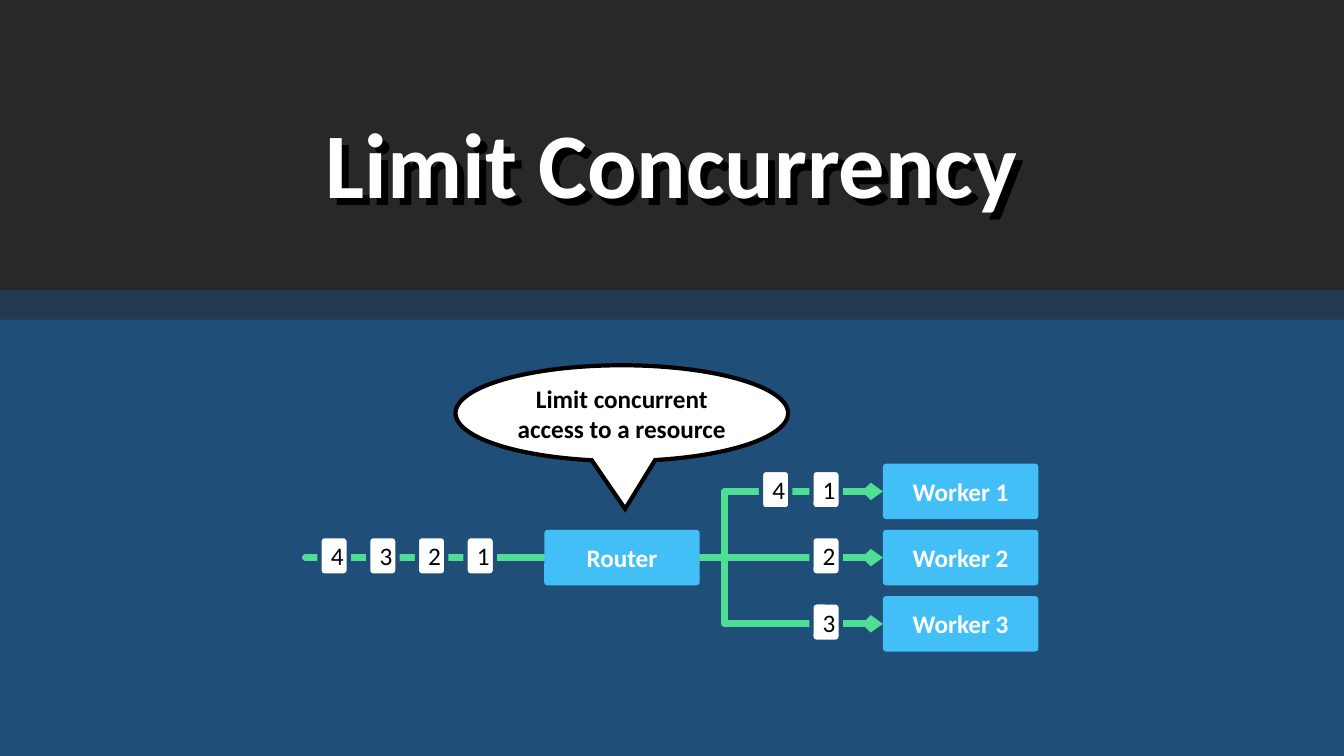
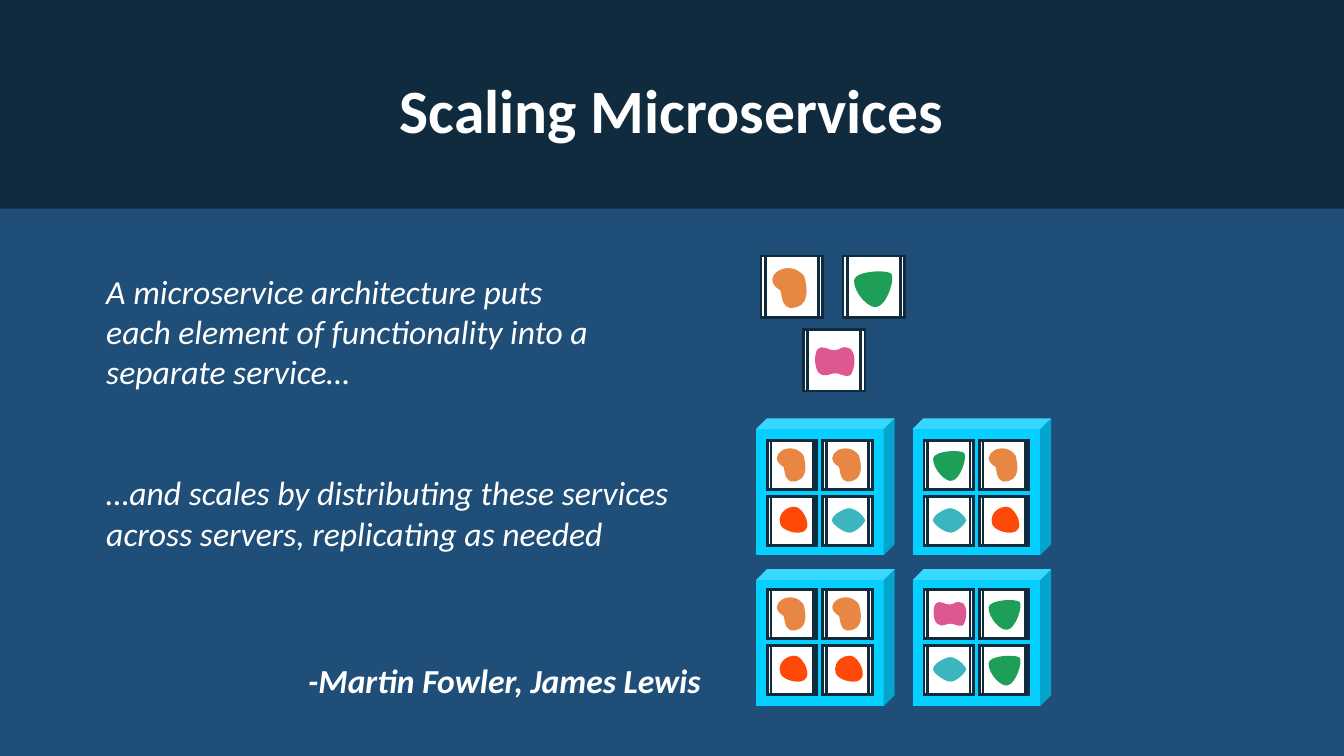
from itertools import product

from lxml import etree
from pptx import Presentation
from pptx import util as u
from pptx.dml.color import RGBColor
from pptx.enum import shapes, text
from pptx.oxml.ns import qn

Pt = u.Pt
SHAPE = shapes.MSO_SHAPE
ALIGN = text.PP_ALIGN

PAGE_W, PAGE_H = 960, 540
FONT = "Calibri"
COLORS = {
    "page": "1F4E78", "charcoal": "282828", "stripe": "233B50", "navy": "102B3E",
    "white": "FFFFFF", "black": "000000", "lane": "50DE94", "box": "43BFF7",
    "server": "05CFFF", "orange": "E88744", "green": "1D9F58", "pink": "DD5893",
    "red": "FF4909", "teal": "3DB5BE",
}

# Start point, then two control points and an end point for each curve,
# measured from the corner of a small service tile.
BLOBS = {
    "orange": [(10.8, 18.5), (-1.4, 10.6), (17, -1), (25.7, 10.6),
               (27.4, 16.4), (30, 29.4), (17.3, 29.4),
               (10.8, 27.9), (13, 18.5), (10.8, 18.5)],
    "red": [(10.8, 11.5), (12.2, 9.4), (18, 5.8), (22.3, 8.6),
            (27.4, 12.2), (30.2, 20.9), (27.4, 23.8),
            (25.2, 27.4), (16.6, 26.6), (11.5, 23),
            (7.2, 20.2), (8.6, 13.7), (10.8, 11.5)],
    "teal": [(6.5, 17.3), (6.5, 13), (15.8, 8.6), (18.7, 8.6),
             (22.3, 8.6), (28.8, 13), (30.2, 17.3),
             (29.5, 20.2), (21.6, 27.4), (18, 25.9),
             (15.1, 25.9), (6.5, 20.2), (6.5, 17.3)],
    "green": [(28.8, 9), (31, 12.6), (25.9, 27.7), (20.2, 28.8),
              (15.8, 30.2), (6.5, 20.9), (6.5, 13),
              (7.2, 7.2), (25.9, 6.5), (28.8, 9)],
    "pink": [(18.7, 24.5), (15.8, 24.5), (13, 27.4), (9.4, 24.5),
             (7.2, 23), (5.8, 15.8), (7.9, 10.8),
             (11.5, 6.5), (15.1, 11.5), (18.7, 10.8),
             (22.3, 10.8), (22.3, 7.2), (28.1, 10.1),
             (32.4, 14.4), (29.5, 25.2), (27.4, 25.9),
             (23, 26.6), (22.3, 24.5), (18.7, 24.5)],
}
SMALL_TILE, LARGE_TILE = 35.3, 43.9


def color(name):
    return RGBColor.from_string(COLORS[name])


def add_page(deck):
    page = deck.slides.add_slide(deck.slide_layouts[6])
    page.background.fill.solid()
    page.background.fill.fore_color.rgb = color("page")
    return page


def paint(shape, fill, line=None, width=0):
    shape.shadow.inherit = False
    shape.fill.solid()
    shape.fill.fore_color.rgb = color(fill)
    if line:
        shape.line.color.rgb = color(line)
        shape.line.width = Pt(width)
        etree.SubElement(shape.line._get_or_add_ln(), qn("a:miter"), lim="800000")
    else:
        shape.line.fill.background()


def add_block(page, kind, left, top, width, height, fill, line=None, line_width=0):
    shape = page.shapes.add_shape(kind, Pt(left), Pt(top), Pt(width), Pt(height))
    paint(shape, fill, line, line_width)
    return shape


def write(shape, content, size, ink="white", bold=False, italic=False, align=ALIGN.CENTER):
    """Fill a shape with text, one paragraph per line of the content."""
    shape.text_frame.text = content
    for para in shape.text_frame.paragraphs:
        para.alignment = align
        for span in para.runs:
            span.font.name = FONT
            span.font.size = Pt(size)
            span.font.bold = bold
            span.font.italic = italic
            span.font.color.rgb = color(ink)


def add_label(page, left, top, width, height, content, size, wrap=False, **style):
    box = page.shapes.add_textbox(Pt(left), Pt(top), Pt(width), Pt(height))
    write(box, content, size, **style)
    box.text_frame.word_wrap = wrap
    return box


def add_title(page, left, top, width, height, content, size):
    return add_label(page, left, top, width, height, content, size, wrap=True, bold=True)


def add_text_shadow(box):
    effects = etree.SubElement(box.element.spPr, qn("a:effectLst"))
    shadow = etree.SubElement(effects, qn("a:outerShdw"), dist=str(Pt(7)), dir="2700000",
                              algn="tl", rotWithShape="0")
    etree.SubElement(shadow, qn("a:srgbClr"), val=COLORS["black"])


def add_lane(page, x1, y1, x2, y2, arrow=True):
    """Draw a green line, bent near its start when its ends differ in height."""
    kind = shapes.MSO_CONNECTOR.STRAIGHT if y1 == y2 else shapes.MSO_CONNECTOR.ELBOW
    lane = page.shapes.add_connector(kind, Pt(x1), Pt(y1), Pt(x2), Pt(y2))
    lane.line.color.rgb = color("lane")
    lane.line.width = Pt(5)
    properties = lane.element.spPr
    if y1 != y2:
        guides = properties.find(qn("a:prstGeom")).get_or_add_avLst()
        etree.SubElement(guides, qn("a:gd"), name="adj1", fmla="val 13500")
    outline = lane.line._get_or_add_ln()
    outline.set("cap", "rnd")
    if arrow:
        etree.SubElement(outline, qn("a:tailEnd"), type="arrow", w="sm", len="sm")
    etree.SubElement(properties, qn("a:effectLst"))
    return lane


def add_node(page, left, middle, content):
    node = add_block(page, SHAPE.ROUNDED_RECTANGLE, left, middle - 19.8, 111, 39.6, "box")
    node.adjustments[0] = 0.06
    write(node, content, 18, bold=True)
    return node


def add_token(page, left, middle, number):
    token = add_block(page, SHAPE.ROUNDED_RECTANGLE, left, middle - 15.3, 20.9, 28.1,
                      "white", "page", 3)
    write(token, str(number), 18, ink="black")


def bend_outline(blob):
    """Turn each three straight steps of a freeform into one cubic curve."""
    steps = list(blob.element.iter(qn("a:lnTo")))
    for first, second, third in zip(steps[::3], steps[1::3], steps[2::3]):
        curve = etree.Element(qn("a:cubicBezTo"))
        first.addprevious(curve)
        for step in (first, second, third):
            curve.append(step[0])
            step.getparent().remove(step)


def add_service(page, left, top, kind, size=SMALL_TILE):
    """Draw a white tile holding the blob of one kind of service."""
    for inset in (0, 0.07):
        add_block(page, SHAPE.RECTANGLE, left + inset * size, top, size * (1 - 2 * inset), size,
                  "white", "navy", 2)
    scale, drop = (1, 0) if size == SMALL_TILE else (1.2, 1.8)
    outline = [(Pt(left + x * scale), Pt(top + drop + y * scale)) for x, y in BLOBS[kind]]
    builder = page.shapes.build_freeform(*outline[0])
    builder.add_line_segments(outline[1:], close=True)
    blob = builder.convert_to_shape()
    bend_outline(blob)
    paint(blob, kind)


def add_server(page, left, top, inset, kinds):
    server = add_block(page, SHAPE.CUBE, left, top, 99, 97.9, "server")
    server.adjustments[0] = 0.08
    for (row, column), kind in zip(product(range(2), repeat=2), kinds):
        add_service(page, left + 8.2 + column * 39.6, top + inset + row * 39.8, kind)


def build_concurrency(deck):
    page = add_page(deck)
    add_block(page, SHAPE.RECTANGLE, 0, 207.4, PAGE_W, 21, "stripe")
    add_block(page, SHAPE.RECTANGLE, 0, 0, PAGE_W, 207.4, "charcoal")
    add_text_shadow(add_title(page, 0, 72.3, PAGE_W, 87, "Limit Concurrency", 66))

    middle, pitch = 398.3, 47.3
    router_left, worker_left = 388.8, 630.7
    heights = [middle + pitch * step for step in (-1, 0, 1)]
    lanes = [add_lane(page, router_left + 111, middle, worker_left, y) for y in heights]
    inlet = add_lane(page, 218.2, middle, router_left, middle, arrow=False)

    router = add_node(page, router_left, middle, "Router")
    inlet.end_connect(router, 1)
    for number, (lane, y) in enumerate(zip(lanes, heights), 1):
        worker = add_node(page, worker_left, y, f"Worker {number}")
        lane.begin_connect(router, 3)
        lane.end_connect(worker, 1)
        add_token(page, 579.6, y, number)
    add_token(page, 543.6, heights[0], 4)
    for place, number in enumerate((4, 3, 2, 1)):
        add_token(page, 228.2 + 34.8 * place, middle, number)

    callout = add_block(page, SHAPE.OVAL_CALLOUT, 325.4, 260.9, 237.6, 68.4, "white", "black", 3)
    callout.adjustments[0] = 0.01
    callout.adjustments[1] = 1
    write(callout, "Limit concurrent access to a resource", 18, ink="black", bold=True)


def build_microservices(deck):
    page = add_page(deck)
    add_block(page, SHAPE.RECTANGLE, 0, 0, PAGE_W, 149, "navy")
    title = add_title(page, 66, 28.8, 828, 104.4, "Scaling Microservices", 44)
    title.text_frame.vertical_anchor = text.MSO_ANCHOR.MIDDLE
    title.text_frame.paragraphs[0].line_spacing = 0.9

    quote = add_label(page, 68.8, 189.7, 422, 211,
                      "A microservice architecture puts\n"
                      "each element of functionality into a\n"
                      "separate service…\n"
                      "…and scales by distributing these services\n"
                      "across servers, replicating as needed",
                      24, italic=True, align=ALIGN.LEFT)
    quote.text_frame.paragraphs[3].space_before = Pt(57.6)

    for left, top, kind in ((543.6, 182.9, "orange"), (602.2, 182.9, "green"),
                            (574, 235.4, "pink")):
        add_service(page, left, top, kind, LARGE_TILE)

    server_rows = (
        (298.8, 15.8, (("orange", "orange", "red", "teal"), ("green", "orange", "teal", "red"))),
        (406.6, 14.4, (("orange", "orange", "red", "red"), ("pink", "green", "teal", "green"))),
    )
    for top, inset, servers in server_rows:
        for column, kinds in enumerate(servers):
            add_server(page, 540 + column * 111.8, top, inset, kinds)

    add_label(page, 213, 468, 301, 36, "-Martin Fowler, James Lewis", 24,
              bold=True, italic=True, align=ALIGN.LEFT)


def main():
    deck = Presentation()
    deck.slide_width, deck.slide_height = Pt(PAGE_W), Pt(PAGE_H)
    build_concurrency(deck)
    build_microservices(deck)
    deck.save("out.pptx")


if __name__ == "__main__":
    main()
